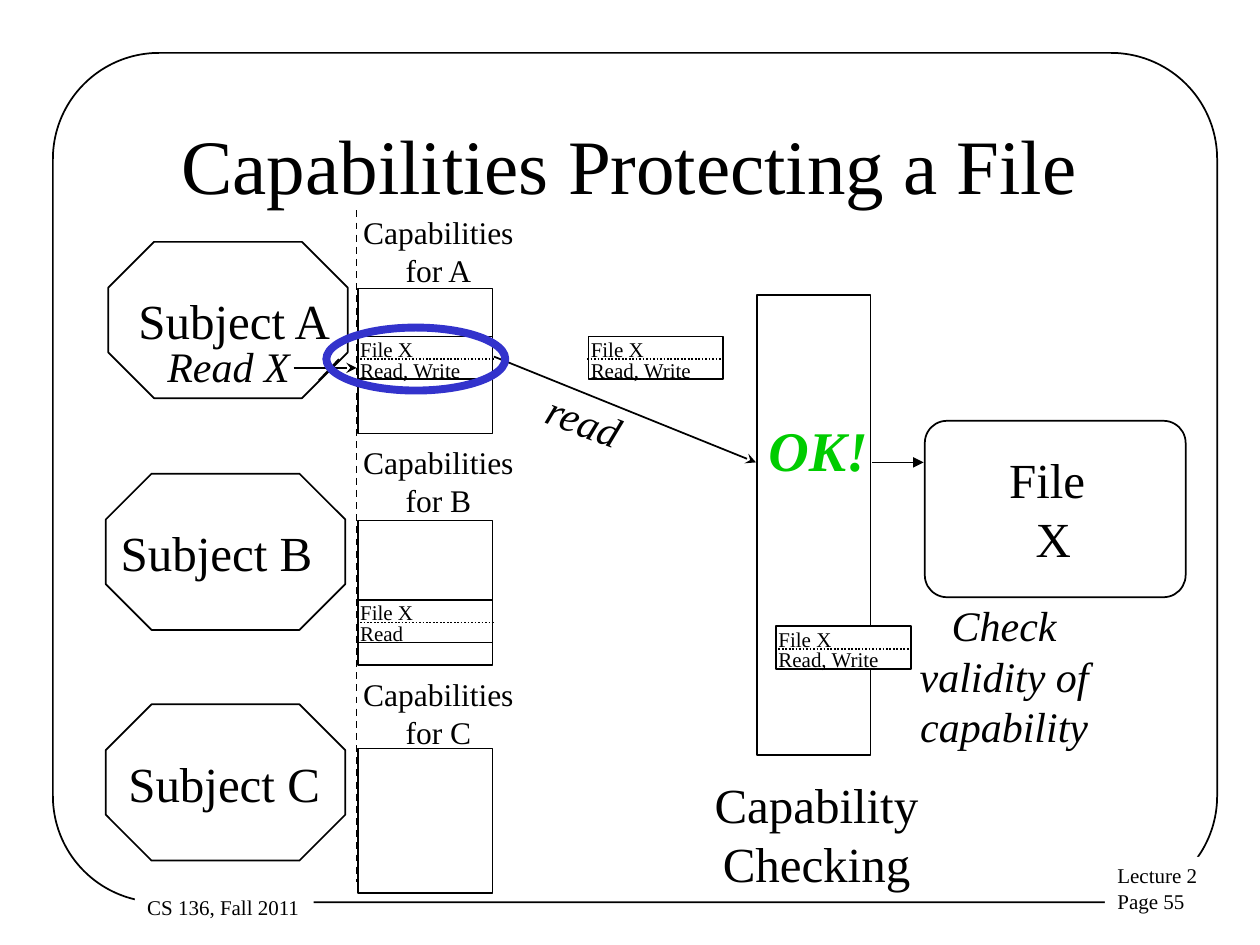
from lxml import etree
from pptx import Presentation
from pptx.dml.color import RGBColor
from pptx.enum.dml import MSO_LINE
from pptx.enum.shapes import MSO_CONNECTOR, MSO_SHAPE
from pptx.enum.text import MSO_ANCHOR, PP_ALIGN
from pptx.oxml.ns import qn
from pptx.util import Inches, Pt

RECT, ROUND = MSO_SHAPE.RECTANGLE, MSO_SHAPE.ROUNDED_RECTANGLE
OCTAGON, OVAL = MSO_SHAPE.OCTAGON, MSO_SHAPE.OVAL
STRAIGHT = MSO_CONNECTOR.STRAIGHT
DASH, DOTS = MSO_LINE.DASH, MSO_LINE.ROUND_DOT
LEFT, CENTER = PP_ALIGN.LEFT, PP_ALIGN.CENTER
TOP, MIDDLE = MSO_ANCHOR.TOP, MSO_ANCHOR.MIDDLE

FONT = "Times New Roman"
BLACK, WHITE, BLUE, GREEN = "000000", "FFFFFF", "3333CC", "00CC00"
COLUMNS, ROWS = 100, 75  # every length below counts cells of this grid
CELL = Inches(0.1)


def cells(*counts):
    return [round(count * CELL) for count in counts]


def color(hex_string):
    return RGBColor.from_string(hex_string)


def add_outline(page, kind, box, fill=None, line=BLACK, weight=1, corner=None):
    shape = page.shapes.add_shape(kind, *cells(*box))
    shape.shadow.inherit = False
    if corner is not None:
        shape.adjustments[0] = corner
    if fill:
        shape.fill.solid()
        shape.fill.fore_color.rgb = color(fill)
    else:
        shape.fill.background()
    shape.line.color.rgb = color(line)
    shape.line.width = Pt(weight)


def add_text(page, box, lines, size, align=LEFT, anchor=TOP, wrap=False,
             bold=False, italic=False, ink=BLACK, fill=None, turn=0):
    text_box = page.shapes.add_textbox(*cells(*box))
    text_box.rotation = turn
    if fill:
        text_box.fill.solid()
        text_box.fill.fore_color.rgb = color(fill)
    frame = text_box.text_frame
    frame.word_wrap = wrap
    frame.vertical_anchor = anchor
    for number, line in enumerate(lines):
        para = frame.add_paragraph() if number else frame.paragraphs[0]
        para.alignment = align
        span = para.add_run()
        span.text = line
        span.font.name = FONT
        span.font.size = Pt(size)
        span.font.bold = bold
        span.font.italic = italic
        span.font.color.rgb = color(ink)


def add_line(page, start, end, dash=None, head=None):
    line = page.shapes.add_connector(STRAIGHT, *cells(*start, *end))
    line.line.color.rgb = color(BLACK)
    line.line.width = Pt(1)
    if dash:
        line.line.dash_style = dash
    if head:
        etree.SubElement(line.line._get_or_add_ln(), qn("a:tailEnd"), type=head)
    etree.SubElement(line._element.spPr, qn("a:effectLst"))


def frame_and_footer(page, box):
    left, top, width, height = box
    right, bottom = left + width, top + height
    add_outline(page, ROUND, box, corner=0.125)
    add_text(page, (right - 8.9, bottom - 3.6, 12.7, 5),
             ["Lecture 2", "Page 55"], 12, fill=WHITE)
    add_text(page, (left + 6.5, bottom - 1.1, 14.2, 3),
             ["CS 136, Fall 2011"], 12, fill=WHITE)


def subject(page, box, name, indent):
    left, top, width, height = box
    add_outline(page, OCTAGON, box, corner=0.293)
    add_text(page, (left + indent, top + 3.4, 17.2, 5.7), [f"Subject {name}"], 28)


def ticket(page, box, rights, fill=None):
    """A capability: the file name over the rights it grants."""
    left, top, width, height = box
    add_outline(page, RECT, box, fill=fill)
    add_text(page, (left - 0.8, top - 0.5, 6.2, 3), ["File X"], 12)
    add_line(page, (left - 0.1, top + 1.8), (left + width + 0.1, top + 1.8), DOTS)
    add_text(page, (left - 0.8, top + 1.15, 10.1, 3), [rights], 12)


def capability_list(page, box, name):
    """A heading at the top of the box and a list frame at its foot."""
    left, top, width, height = box
    add_text(page, (left, top, width, 7), ["Capabilities", f"for {name}"], 18, CENTER)
    add_outline(page, RECT, (left + 0.6, top + height - 11.5, 10.7, 11.5))


def checker(page, box):
    left, top, width, height = box
    add_outline(page, RECT, box)
    add_text(page, (left - 4.4, top + height + 1.1, 18.2, 10.4),
             ["Capability", "Checking"], 28, CENTER)
    ticket(page, (left + 1.5, top + 26.3, 10.7, 3.4), "Read, Write", WHITE)
    add_text(page, (left + width + 0.1, top + 23.7, 21, 13),
             ["Check validity of capability"], 24, CENTER, wrap=True, italic=True)
    add_text(page, (left - 0.1, top + 9.1, 9.9, 6.4), ["OK!"], 32,
             bold=True, italic=True, ink=GREEN)


def file_box(page, box):
    left, top, width, height = box
    add_outline(page, ROUND, box, corner=0.125)
    add_text(page, (left + 5.7, top + 1.8, 9, 10.4), ["File ", "X"], 28, CENTER)


def read_request(page, box):
    """Subject A asks to read, and the chosen capability goes along."""
    left, top, width, height = box
    add_text(page, (left, top, 11.7, 5), ["Read X"], 24, italic=True)
    add_line(page, (left + 11, top + 2.7), (left + 16, top + 2.7), head="stealth")
    add_line(page, (left + 14.6, top + 2), (left + 13, top + 3.7))
    add_line(page, (left + 26.9, top + 1.8), (left + width, top + height),
             head="stealth")
    add_text(page, (left + 30.1, top + 4.4, 8.1, 5), ["read"], 24,
             italic=True, turn=21)
    ticket(page, (left + 34.4, top + 0.2, 10.7, 3.4), "Read, Write")
    add_outline(page, OVAL, (left + 13.6, top - 0.5, 14.2, 5), line=BLUE, weight=4.5)


def main():
    deck = Presentation()
    deck.slide_width, deck.slide_height = cells(COLUMNS, ROWS)
    page = deck.slides.add_slide(deck.slide_layouts[6])

    # Border, footer and title
    frame_and_footer(page, (4.2, 4.2, 92.4, 67.4))
    add_text(page, (7.5, 6.7, 85, 12.5), ["Capabilities Protecting a File"], 44,
             CENTER, MIDDLE, wrap=True)

    # Subjects, left of the dashed boundary
    for name, left, top, indent in (("A", 8.6, 19.2, 1.4), ("B", 8.4, 37.6, 0.2),
                                    ("C", 8.4, 55.9, 0.8)):
        subject(page, (left, top, 19, 12.4), name, indent)
    add_line(page, (28.3, 16.7), (28.3, 70), DASH)

    # Capability lists, right of the boundary
    for name, top, height in (("A", 16.4, 18), ("B", 34.7, 18.1), ("C", 53.1, 17.8)):
        capability_list(page, (27.8, top, 14, height), name)
    for top, rights in ((26.7, "Read, Write"), (47.6, "Read")):
        ticket(page, (28.4, top, 10.7, 3.4), rights)

    # Request, check and access to the file
    checker(page, (60.1, 23.4, 9, 36.5))
    file_box(page, (73.4, 33.4, 20.7, 14))
    read_request(page, (12.3, 26.5, 47.7, 10.2))
    add_line(page, (69.2, 36.7), (73.3, 36.7), head="triangle")

    deck.save("out.pptx")


if __name__ == "__main__":
    main()
